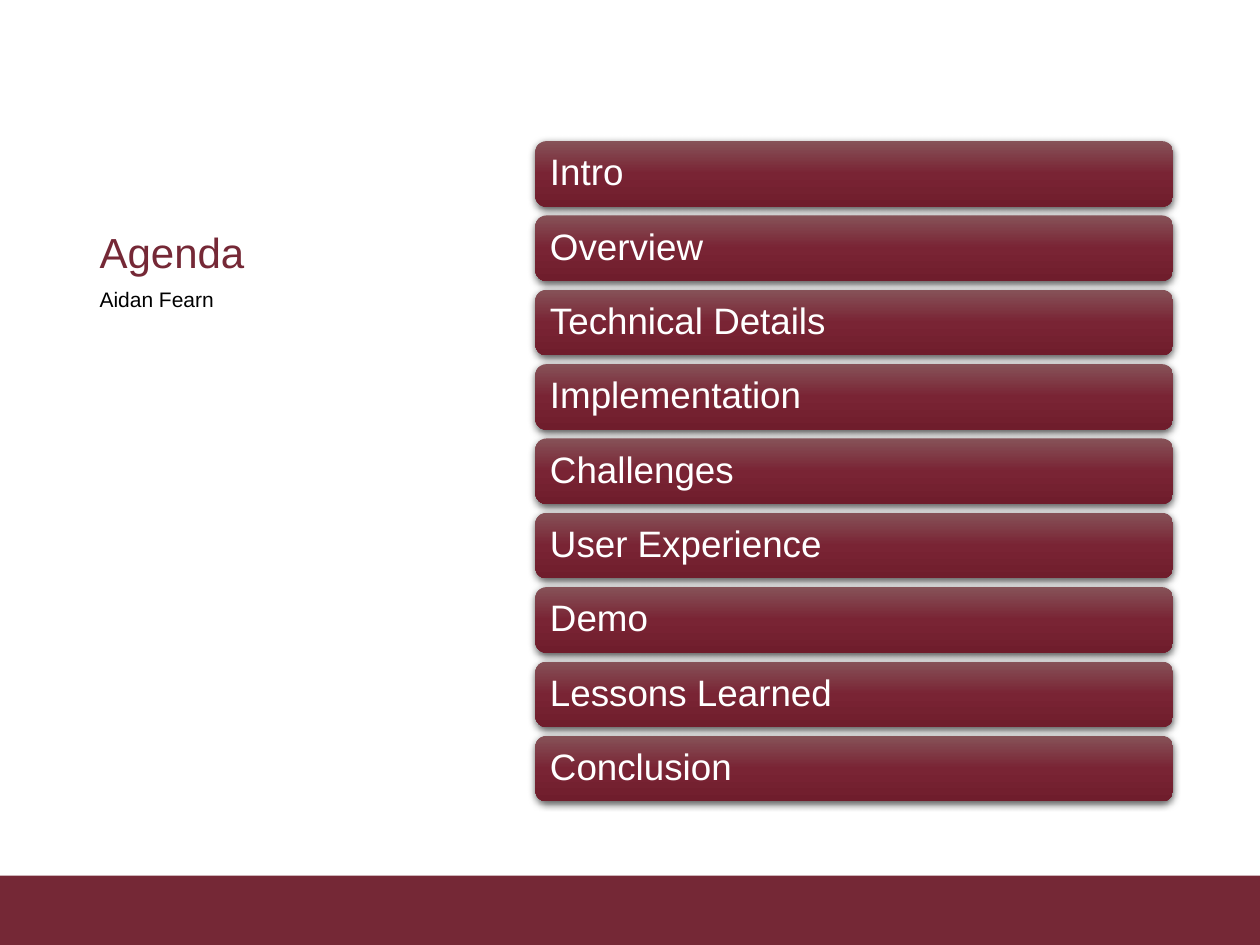
from copy import deepcopy

from lxml import etree
from pptx import Presentation
from pptx import util as u
from pptx.dml.color import RGBColor
from pptx.enum import shapes, text
from pptx.oxml import ns

TITLE = "Agenda"
AUTHOR = "Aidan Fearn"
TOPICS = [
    "Intro", "Overview", "Technical Details", "Implementation", "Challenges",
    "User Experience", "Demo", "Lessons Learned", "Conclusion",
]

FONT = "Arial"
MAROON = RGBColor(0x75, 0x28, 0x36)
BLACK = RGBColor(0, 0, 0)
WHITE = RGBColor(0xFF, 0xFF, 0xFF)
BAR_STOPS = [
    (0, RGBColor(0x86, 0x52, 0x58)),
    (0.5, RGBColor(0x79, 0x24, 0x34)),
    (1, RGBColor(0x6F, 0x1D, 0x2C)),
]

WIDTH, HEIGHT = 10, 7.5
FOOTER_HEIGHT = 0.55
CAPTION_LEFT, CAPTION_WIDTH = 0.69, 3.23
LIST_LEFT, LIST_TOP, LIST_WIDTH = 4.25, 1.12, 5.06
BAR_HEIGHT, ROW_PITCH = 0.52, 0.59
BAR_INSET = 0.09


def place(box, left, top, width, height):
    box.left, box.top = u.Inches(left), u.Inches(top)
    box.width, box.height = u.Inches(width), u.Inches(height)


def write(box, words, size, color, anchor, space_before=0):
    frame = box.text_frame
    frame.word_wrap = True
    frame.auto_size = text.MSO_AUTO_SIZE.NONE
    frame.vertical_anchor = anchor
    para = frame.paragraphs[0]
    para.alignment = text.PP_ALIGN.LEFT
    para.line_spacing = 0.9
    para.space_before = u.Pt(space_before)
    span = para.add_run()
    span.text = words
    span.font.name = FONT
    span.font.size = u.Pt(size)
    span.font.bold = False
    span.font.color.rgb = color


def fill_gradient(box, stops):
    box.fill.gradient()
    box.fill.gradient_angle = 270
    stop_list = box._element.spPr.find(".//" + ns.qn("a:gsLst"))
    while len(stop_list) < len(stops):
        stop_list.append(deepcopy(stop_list[-1]))
    for stop, (position, color) in zip(box.fill.gradient_stops, stops):
        stop.position = position
        stop.color.rgb = color


def add_shadow(box):
    box.shadow.inherit = False
    effects = box._element.spPr.find(ns.qn("a:effectLst"))
    shadow = etree.SubElement(
        effects, ns.qn("a:outerShdw"), blurRad=str(u.Pt(4.5)),
        dist=str(u.Pt(1.5)), dir="5400000", rotWithShape="0")
    color = etree.SubElement(shadow, ns.qn("a:srgbClr"), val=str(BLACK))
    etree.SubElement(color, ns.qn("a:alpha"), val="63000")


def add_bar(page, row, topic):
    bar = page.shapes.add_shape(shapes.MSO_SHAPE.ROUNDED_RECTANGLE, 0, 0, 0, 0)
    place(bar, LIST_LEFT, LIST_TOP + row * ROW_PITCH, LIST_WIDTH, BAR_HEIGHT)
    fill_gradient(bar, BAR_STOPS)
    bar.line.fill.background()
    add_shadow(bar)
    frame = bar.text_frame
    frame.margin_left = frame.margin_right = u.Inches(BAR_INSET)
    frame.margin_top = frame.margin_bottom = 0
    write(bar, topic, 21, WHITE, text.MSO_ANCHOR.MIDDLE)


def main():
    deck = Presentation()
    deck.slide_width, deck.slide_height = u.Inches(WIDTH), u.Inches(HEIGHT)
    page = deck.slides.add_slide(deck.slide_layouts.get_by_name("Content with Caption"))
    title, content, body = page.placeholders
    content._element.getparent().remove(content._element)

    footer = page.shapes.add_shape(shapes.MSO_SHAPE.RECTANGLE, 0, 0, 0, 0)
    place(footer, 0, HEIGHT - FOOTER_HEIGHT, WIDTH, FOOTER_HEIGHT)
    footer.fill.solid()
    footer.fill.fore_color.rgb = MAROON
    footer.line.fill.background()
    footer.shadow.inherit = False

    place(title, CAPTION_LEFT, 0.5, CAPTION_WIDTH, 1.75)
    write(title, TITLE, 24, MAROON, text.MSO_ANCHOR.BOTTOM)
    place(body, CAPTION_LEFT, 2.25, CAPTION_WIDTH, 4.17)
    write(body, AUTHOR, 12, BLACK, text.MSO_ANCHOR.TOP, space_before=7.5)

    for row, topic in enumerate(TOPICS):
        add_bar(page, row, topic)

    deck.save("out.pptx")


if __name__ == "__main__":
    main()
